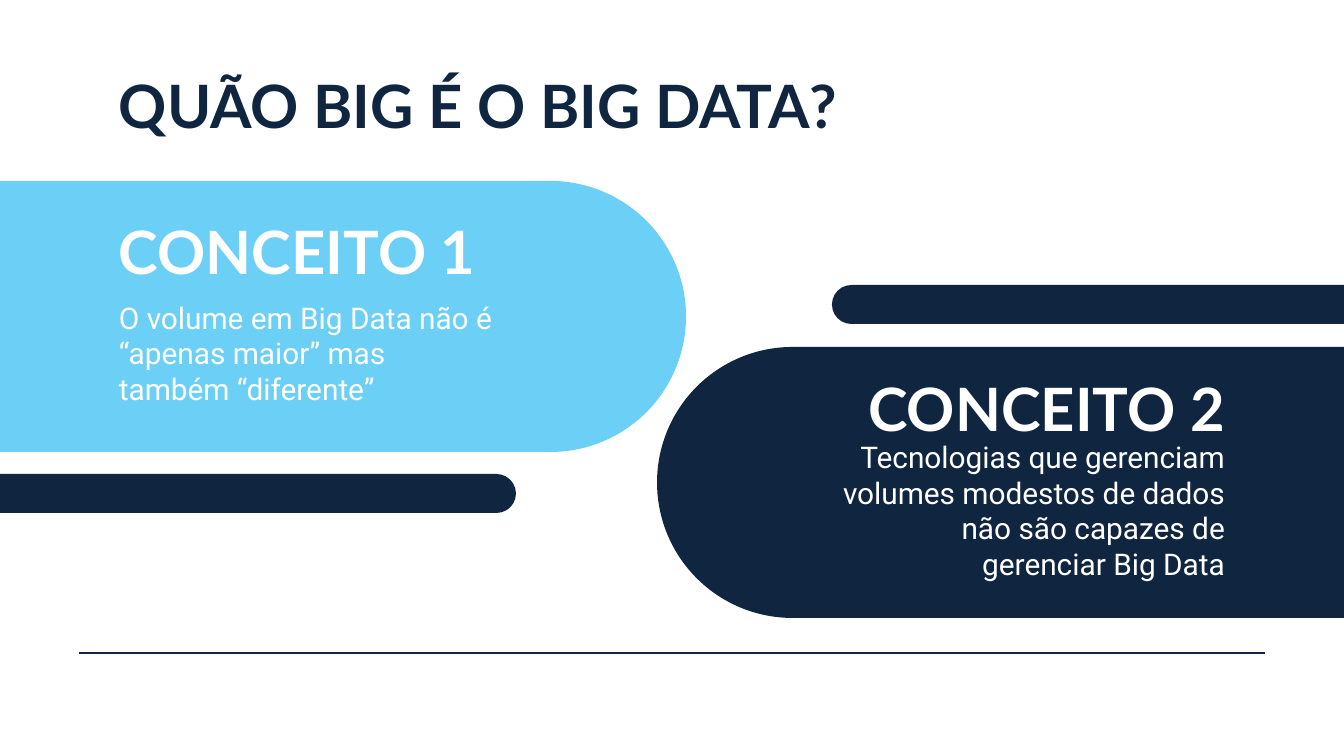
import pptx
import pptx.dml.color
import pptx.enum.shapes
import pptx.enum.text
import pptx.oxml
import pptx.util

RGBColor = pptx.dml.color.RGBColor
Align = pptx.enum.text.PP_ALIGN
Anchor = pptx.enum.text.MSO_ANCHOR
NAVY = RGBColor(0x10, 0x25, 0x40)
SKY = RGBColor(0x6C, 0xCF, 0xF6)
WHITE = RGBColor(0xFF, 0xFF, 0xFF)
EMU_PER_PX = 914400 / 134.4
INSET = 13


def px(length):
    """Turn a length in px into EMU."""
    return pptx.util.Emu(round(length * EMU_PER_PX))


def add_text(page, box, text, font_name, size, color, align, anchor, bold=False):
    """Write one wrapped paragraph into the box."""
    frame = page.shapes.add_textbox(*map(px, box)).text_frame
    frame.word_wrap = True
    frame.vertical_anchor = anchor
    frame.margin_left = frame.margin_right = px(INSET)
    frame.margin_top = frame.margin_bottom = px(INSET)
    para = frame.paragraphs[0]
    para.text = text
    para.alignment = align
    para.font.name = font_name
    para.font.size = pptx.util.Pt(size)
    para.font.bold = bold
    para.font.color.rgb = color


def add_heading(page, box, text, color, align=Align.LEFT, anchor=Anchor.TOP):
    """Write a large bold heading into the box."""
    add_text(page, box, text, "Lato", 32, color, align, anchor, bold=True)


def add_pill(page, box, color):
    """Draw a fully rounded bar that fills the box."""
    kind = pptx.enum.shapes.MSO_SHAPE.ROUNDED_RECTANGLE
    pill = page.shapes.add_shape(kind, *map(px, box))
    pill.adjustments[0] = 0.5
    pill.shadow.inherit = False
    pill.fill.solid()
    pill.fill.fore_color.rgb = color
    pill.line.fill.background()


def add_concept(page, box, color, bar_offset, text_offset, align, heading, body):
    """Place a concept's accent bar, pill, heading and body relative to its box."""
    left, top, width, height = box
    add_pill(page, (left + bar_offset[0], top + bar_offset[1], 730, 39), NAVY)
    add_pill(page, box, color)
    text_left, text_top = left + text_offset[0], top + text_offset[1]
    add_heading(page, (text_left, text_top, 409, 87), heading, WHITE, align, Anchor.MIDDLE)
    add_text(page, (text_left, text_top + 81, 409, 130), body,
             "Roboto", 16, WHITE, align, Anchor.MIDDLE)


def add_rule(page, box):
    """Draw the thin line along the top of the box."""
    left, top, width, height = box
    kind = pptx.enum.shapes.MSO_CONNECTOR.STRAIGHT
    rule = page.shapes.add_connector(kind, *map(px, (left, top, left + width, top + height)))
    rule.line.color.rgb = NAVY
    rule.line.width = pptx.util.Pt(1.5)
    rule._element.spPr.append(pptx.oxml.parse_xml(
        '<a:effectLst xmlns:a="http://schemas.openxmlformats.org/drawingml/2006/main"/>'))


def main():
    """Build the slide and save the deck."""
    deck = pptx.Presentation()
    deck.slide_width, deck.slide_height = px(1344), px(756)
    page = deck.slides.add_slide(deck.slide_layouts[6])
    add_heading(page, (106, 56, 1133, 87), "QUÃO BIG É O BIG DATA?", NAVY)
    add_concept(page, (-214, 181, 900, 271), SKY, (0, 293), (320, 26), Align.LEFT,
                "CONCEITO 1",
                "O volume em Big Data não é “apenas maior” mas também “diferente”")
    add_concept(page, (657, 347, 900, 271), NAVY, (175, -62), (172, 17), Align.RIGHT,
                "CONCEITO 2",
                "Tecnologias que gerenciam volumes modestos de dados "
                "não são capazes de gerenciar Big Data")
    add_rule(page, (79, 653, 1186, 0))
    deck.save("out.pptx")


if __name__ == "__main__":
    main()
